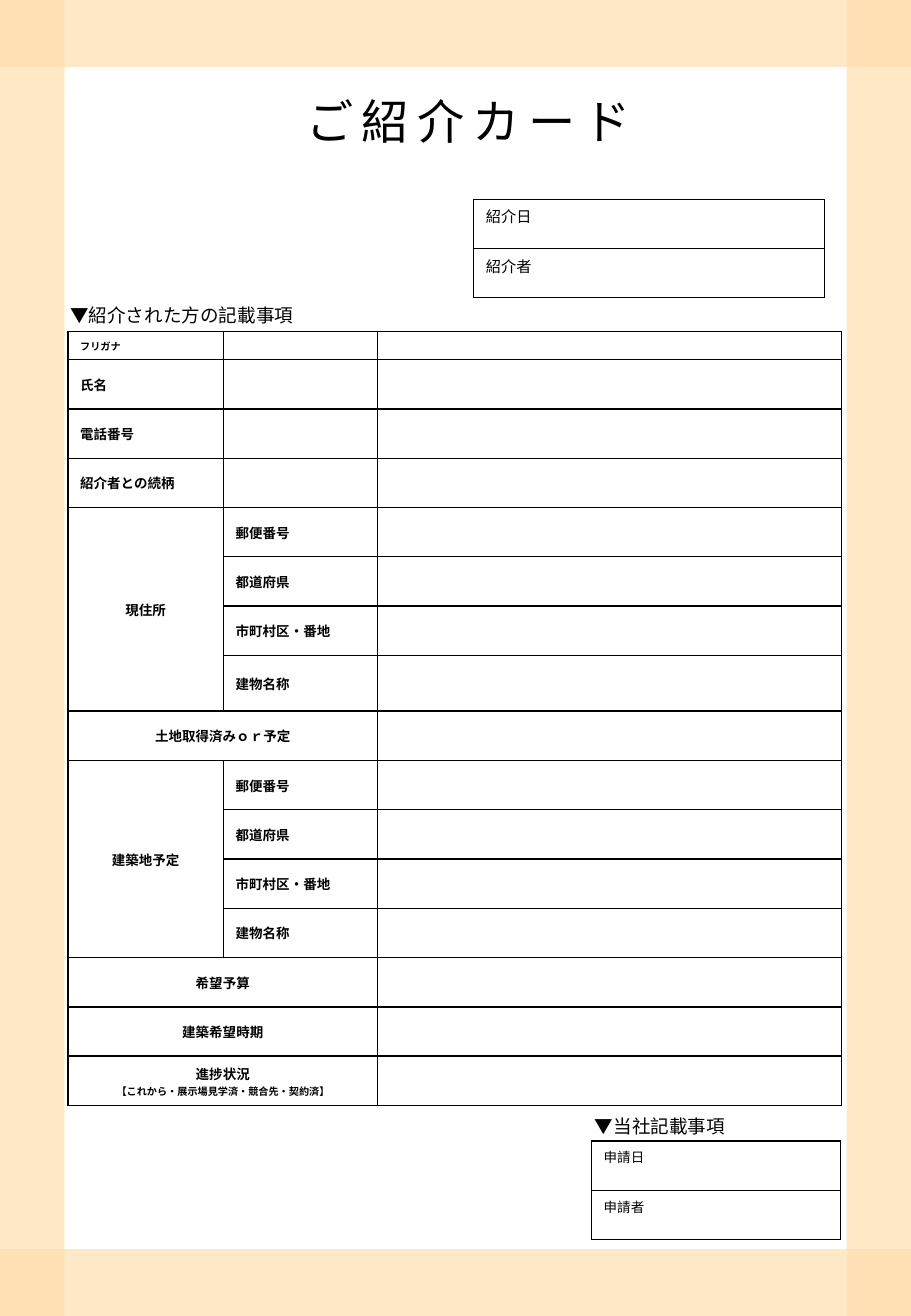
from dataclasses import dataclass

from lxml.etree import SubElement
from pptx import Presentation
from pptx.dml.color import RGBColor
from pptx.enum.shapes import MSO_SHAPE
from pptx.enum.text import MSO_ANCHOR as Anchor, MSO_AUTO_SIZE as AutoSize, PP_ALIGN as Align
from pptx.oxml.ns import qn
from pptx.util import Inches, Pt

ACROSS = "across"  # the label fills both label columns
TITLE = "ご紹介カード"
ADDRESS = ["郵便番号", "都道府県", "市町村区・番地", "建物名称"]
PROGRESS = "進捗状況\n【これから・展示場見学済・競合先・契約済】"


def address_rows(label):
    """The label beside the first address line, None beside the others."""
    return [(label if line == 0 else None, part) for line, part in enumerate(ADDRESS)]


FORM = [
    ("フリガナ", ""), ("氏名", ""), ("電話番号", ""), ("紹介者との続柄", ""),
    *address_rows("現住所"),
    ("土地取得済みｏｒ予定", ACROSS),
    *address_rows("建築地予定"),
    ("希望予算", ACROSS), ("建築希望時期", ACROSS), (PROGRESS, ACROSS),
]
HEADINGS = [("▼紹介された方の記載事項", 0.48, 2.45), ("▼当社記載事項", 4.8, 9.13)]


@dataclass(frozen=True)
class Theme:
    ink: str = "000000"
    paper: str = "FFFFFF"
    band: str = "FFDFAF"
    band_opacity: int = 70
    font: str = "Noto Sans CJK JP"
    heading_font: str = "Calibri"
    title: int = 28
    heading: int = 11
    referral: int = 9
    label: int = 8
    small: int = 6
    thin: float = 0.75
    thick: float = 1


THEME = Theme()
WIDTH, HEIGHT = 7.5, 10.83
BAND, BLEED = 0.55, 0.02
FORM_HEIGHT, FIRST_ROW, TALL_ROW, TALL_INDEX = 6.37, 0.23, 0.46, 7
ROW = (FORM_HEIGHT - FIRST_ROW - TALL_ROW) / (len(FORM) - 2)
FORM_ROWS = [{0: FIRST_ROW, TALL_INDEX: TALL_ROW}.get(index, ROW) for index in range(len(FORM))]


def set_values(target, **values):
    for name, value in values.items():
        setattr(target, name, value)


def write(para, text, size, font=THEME.font, bold=False):
    """Write text; a line after the first is set in the small size."""
    for index, line in enumerate(text.split("\n")):
        if index:
            para.add_line_break()
        span = para.add_run()
        span.text = line
        set_values(span.font, size=Pt(THEME.small if index else size), name=font, bold=bold)
        span.font.color.rgb = RGBColor.from_string(THEME.ink)
        SubElement(span.font._element, qn("a:ea"), typeface=THEME.font)


def set_borders(cell, top, bottom):
    properties = cell._tc.get_or_add_tcPr()
    widths = {"L": THEME.thick, "R": THEME.thick, "T": top, "B": bottom}
    if top == bottom:
        widths = dict.fromkeys(widths, top)
    for index, (side, width) in enumerate(widths.items()):
        line = SubElement(properties, qn(f"a:ln{side}"), w=str(Pt(width)))
        fill = SubElement(line, qn("a:solidFill"))
        SubElement(fill, qn("a:srgbClr"), val=THEME.ink)
        properties.insert(index, line)


def add_grid(page, left, top, columns, rows):
    frame = page.shapes.add_table(len(rows), len(columns), Inches(left), Inches(top),
                                  Inches(sum(columns)), Inches(sum(rows)))
    table = frame.table
    set_values(table, first_row=False, horz_banding=False)
    for column, width in zip(table.columns, columns):
        column.width = Inches(width)
    for row, height in zip(table.rows, rows):
        row.height = Inches(height)
    return table


def add_bands(page):
    side = WIDTH - BAND + BLEED
    for left, top, width, height in [
        (-BLEED, 0, BAND, HEIGHT), (side, 0, BAND, HEIGHT),
        (0, 0, WIDTH, BAND), (0, HEIGHT - BAND, WIDTH, BAND),
    ]:
        band = page.shapes.add_shape(MSO_SHAPE.RECTANGLE, *map(Inches, (left, top, width, height)))
        band.shadow.inherit = False
        band.line.fill.background()
        band.fill.solid()
        band.fill.fore_color.rgb = RGBColor.from_string(THEME.band)
        color = band._element.spPr.find(qn("a:solidFill"))[0]
        SubElement(color, qn("a:alpha"), val=str(THEME.band_opacity * 1000))


def add_title(page):
    box = page.shapes.title
    set_values(box, left=Inches(2.42), top=Inches(0.74), width=Inches(2.89), height=Inches(0.56))
    set_values(box.text_frame, vertical_anchor=Anchor.MIDDLE, auto_size=AutoSize.NONE,
               word_wrap=True, margin_right=0)
    para = box.text_frame.paragraphs[0]
    set_values(para, alignment=Align.LEFT, line_spacing=0.9)
    write(para, TITLE, THEME.title)
    para.runs[0].font._element.set("spc", "500")


def add_heading(page, text, left, top):
    box = page.shapes.add_textbox(*map(Inches, (left, top, 2.33, 0.29)))
    set_values(box.text_frame, word_wrap=True, auto_size=AutoSize.SHAPE_TO_FIT_TEXT)
    write(box.text_frame.paragraphs[0], text, THEME.heading, THEME.heading_font)


def add_entry_box(page, labels, left, top, width, size):
    table = add_grid(page, left, top, [width], [ROW] * len(labels))
    for row, label in enumerate(labels):
        cell = table.cell(row, 0)
        cell.fill.background()
        set_borders(cell, THEME.thin, THEME.thin)
        write(cell.text_frame.paragraphs[0], label, size)


def add_form(page):
    table = add_grid(page, 0.56, 2.73, [1.28, 1.27, 3.82], FORM_ROWS)
    for row, (label, part) in enumerate(FORM):
        texts = [label or "", "" if part == ACROSS else part, ""]
        for column, text in enumerate(texts):
            cell = table.cell(row, column)
            cell.vertical_anchor = Anchor.MIDDLE
            cell.fill.solid()
            cell.fill.fore_color.rgb = RGBColor.from_string(THEME.paper)
            set_borders(cell, THEME.thin if row == 1 else THEME.thick,
                        THEME.thin if row == 0 else THEME.thick)
            para = cell.text_frame.paragraphs[0]
            size = THEME.label if row else THEME.small
            if text:
                write(para, text, size, bold=True)
            else:
                SubElement(para._p, qn("a:endParaRPr"), sz=str(size * 100))
        first = table.cell(row, 0)
        if part == ACROSS:
            first.merge(table.cell(row, 1))
        elif label and part:
            first.merge(table.cell(row + len(ADDRESS) - 1, 0))
        if part:
            first.text_frame.paragraphs[0].alignment = Align.CENTER


def main():
    deck = Presentation()
    set_values(deck, slide_width=Inches(WIDTH), slide_height=Inches(HEIGHT))
    page = deck.slides.add_slide(deck.slide_layouts[5])
    add_bands(page)
    add_title(page)
    add_entry_box(page, ["紹介日", "紹介者"], 3.9, 1.64, 2.89, THEME.referral)
    add_form(page)
    add_entry_box(page, ["申請日", "申請者"], 4.87, 9.39, 2.05, THEME.label)
    for text, left, top in HEADINGS:
        add_heading(page, text, left, top)
    deck.save("out.pptx")


if __name__ == "__main__":
    main()
